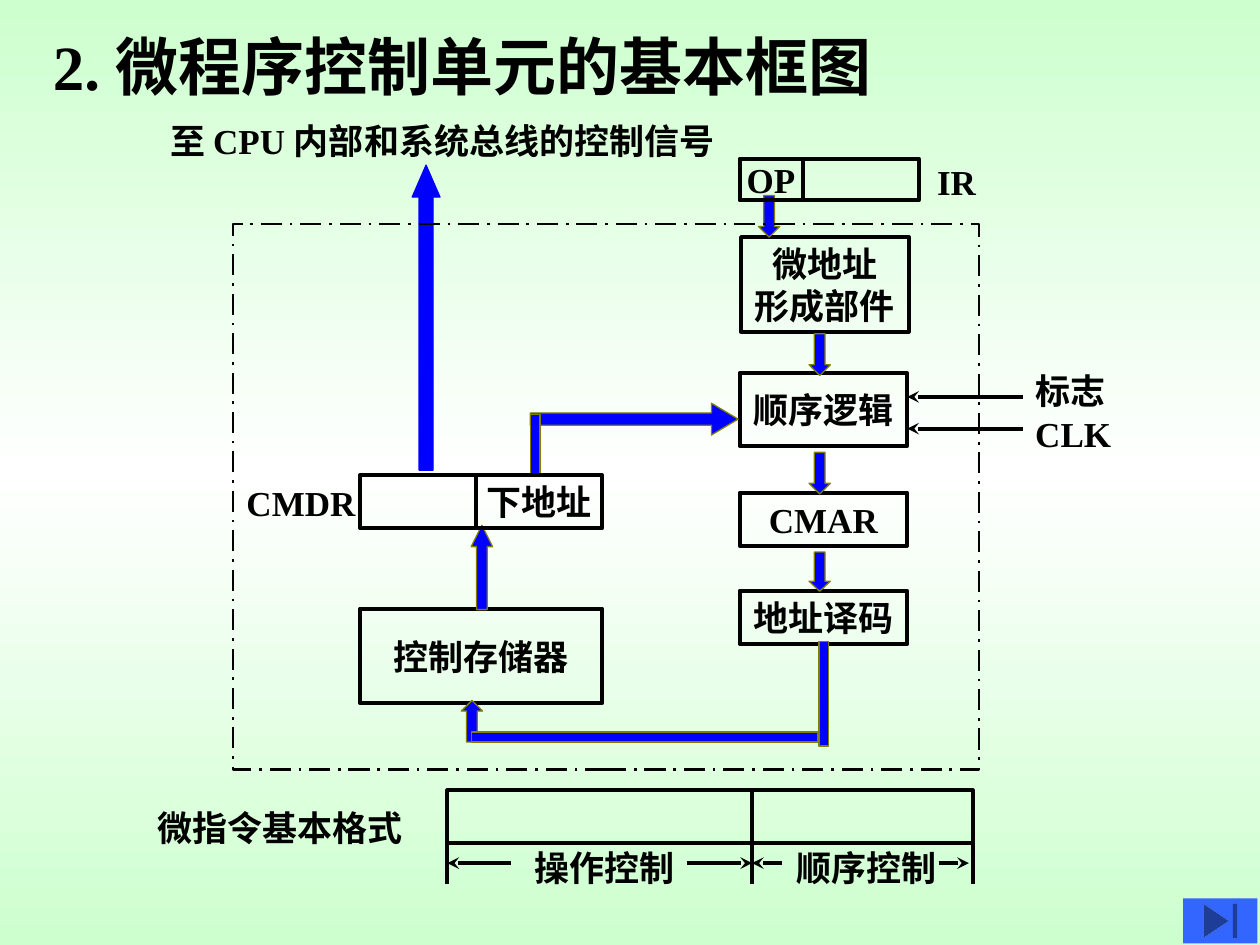
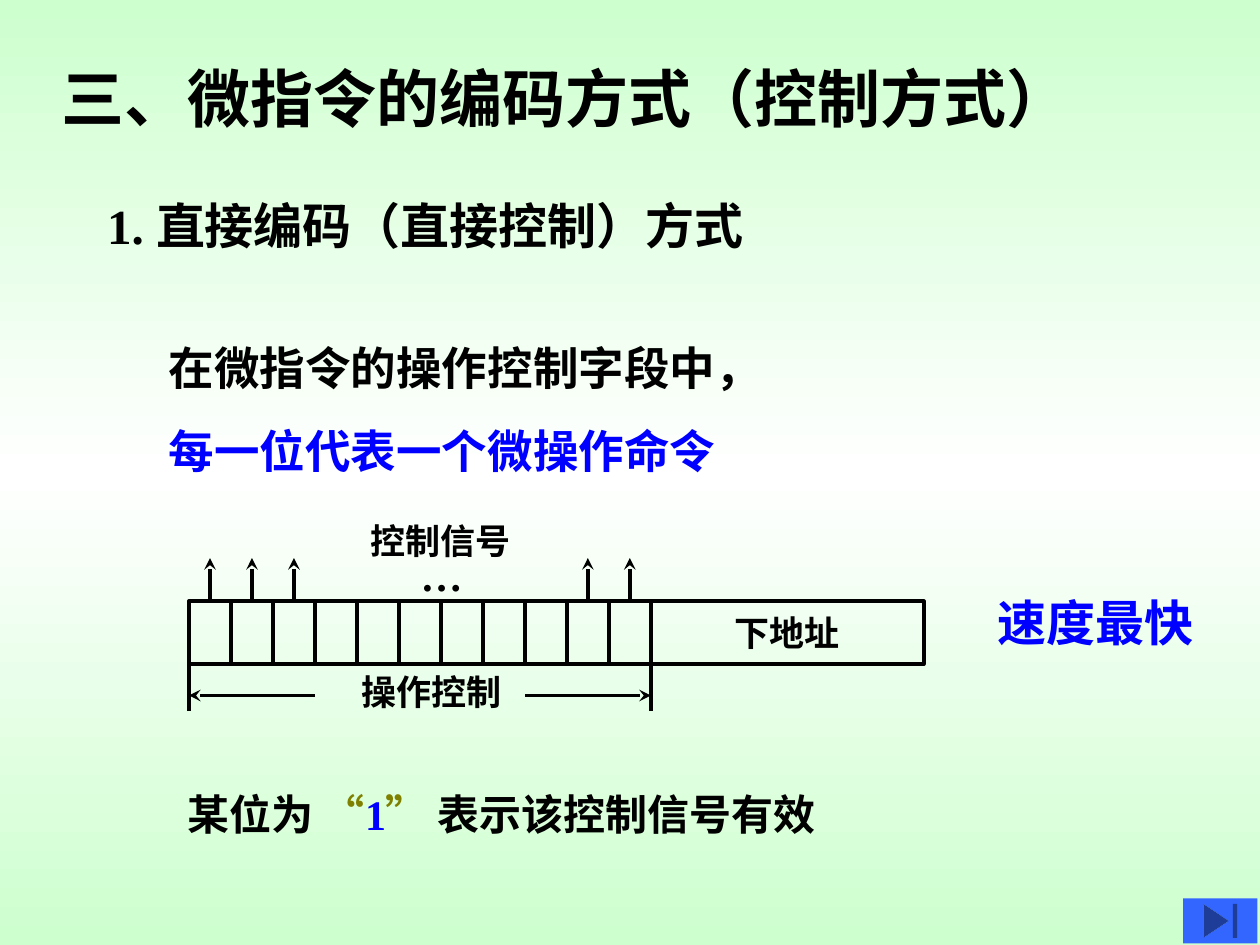
from copy import deepcopy

from lxml.etree import SubElement
from pptx import Presentation
from pptx.dml.color import RGBColor
from pptx.enum.dml import MSO_LINE
from pptx.enum.shapes import MSO_CONNECTOR, MSO_SHAPE
from pptx.enum.text import MSO_ANCHOR, MSO_AUTO_SIZE, PP_ALIGN
from pptx.oxml.ns import qn
from pptx.util import Cm, Pt

BLACK = RGBColor(0x00, 0x00, 0x00)
WHITE = RGBColor(0xFF, 0xFF, 0xFF)
BLUE = RGBColor(0x00, 0x00, 0xFF)
OLIVE = RGBColor(0x80, 0x80, 0x00)
MINT = RGBColor(0xCD, 0xFF, 0xCE)
BUTTON_BLUE = RGBColor(0x33, 0x66, 0xFF)
SERIF = "Times New Roman"
SANS = "DejaVu Sans"
LABEL_HEIGHT = 1.12
BUTTON_BOX = (23.85, 18.11, 1.5, 0.91)

DIAGRAM_TITLE = "2.\t微程序控制单元的基本框图"
UNIT_FRAME = (4.7, 4.52, 15.04, 11)
UNIT_BLOCKS = [
    (["微地址", "形成部件"], (14.94, 4.78, 3.38, 1.91)),
    ("顺序逻辑", (14.91, 7.52, 3.38, 1.47)),
    ("CMAR", (14.91, 9.93, 3.38, 1.07)),
    ("地址译码", (14.91, 11.91, 3.38, 1.07)),
    ("控制存储器", (7.26, 12.27, 4.88, 1.91)),
]
REGISTER_CELLS = [
    ("", (7.26, 9.58, 2.34, 1.07)),
    ("下地址", (9.6, 9.58, 2.54, 1.07)),
    ("OP", (14.91, 3.2, 1.27, 0.84)),
    ("", (16.18, 3.2, 2.34, 0.84)),
    ("", (9.02, 15.93, 6.14, 1.07)),
    ("", (15.16, 15.93, 4.45, 1.07)),
]
DOWN, UP = MSO_SHAPE.DOWN_ARROW, MSO_SHAPE.UP_ARROW
RIGHT, BAR = MSO_SHAPE.RIGHT_ARROW, MSO_SHAPE.RECTANGLE
DATA_PATHS = [
    (DOWN, (15.29, 3.94, 0.43, 0.84), (0.5, 0.5), OLIVE),
    (DOWN, (16.31, 6.73, 0.43, 0.84), (0.5, 0.5), OLIVE),
    (DOWN, (16.31, 9.12, 0.43, 0.84), (0.5, 0.5), OLIVE),
    (DOWN, (16.31, 11.13, 0.43, 0.79), (0.5, 0.47), OLIVE),
    (UP, (9.5, 10.59, 0.43, 1.7), (0.5, 1), OLIVE),
    (RIGHT, (10.69, 8.13, 4.19, 0.64), (0.39, 0.84), OLIVE),
    (BAR, (10.69, 8.36, 0.2, 1.22), (), OLIVE),
    (BAR, (16.51, 12.93, 0.2, 2.11), (), OLIVE),
    (UP, (9.3, 14.12, 0.43, 0.84), (0.5, 0.5), OLIVE),
    (BAR, (9.5, 14.76, 6.99, 0.2), (), OLIVE),
    (UP, (8.31, 3.33, 0.56, 6.15), (0.5, 1.15), BLUE),
]
DIAGRAM_LABELS = [
    ("至 CPU 内部和系统总线的控制信号", 3.18, 2.29, 11.81),
    ("IR", 18.64, 3.12, 1.3),
    ("标志", 20.62, 7.32, 1.9),
    ("CLK", 20.62, 8.2, 2.03),
    ("CMDR", 4.72, 9.58, 2.69),
    ("微指令基本格式", 2.92, 16.13, 5.46),
    ("操作控制", 10.52, 16.94, 3.33),
    ("顺序控制", 15.8, 16.94, 3.33),
]
INPUT_LEVELS = [8, 8.64]
FIELD_EDGES = [9.02, 15.16, 19.61]
FIELD_ARROWS = [(13.84, 15.16), (10.31, 9.02), (18.92, 19.53), (15.77, 15.16)]

CODING_TITLE = "三、微指令的编码方式（控制方式）"
CODING_METHOD = [("1. ", {"name": SERIF}), ("直接编码（直接控制）方式", {})]
CODING_RULE = ["在微指令的操作控制字段中，", [("每一位代表一个微操作命令", {"color": BLUE})]]
VALID_NOTE = [
    ("某位为 ", {}),
    ("“", {"color": OLIVE}),
    ("1", {"color": BLUE}),
    ("”", {"color": OLIVE}),
    (" 表示该控制信号有效", {}),
]
BIT_COUNT = 11
SIGNAL_BITS = [0, 1, 2, 9, 10]
BITS_LEFT, BITS_RIGHT, BITS_TOP, BITS_HEIGHT = 3.81, 13.12, 12.12, 1.27
BITS_BOTTOM = BITS_TOP + BITS_HEIGHT
CONTROL_ARROWS = [(6.35, BITS_LEFT), (10.59, BITS_RIGHT)]
CODING_LABELS = [
    ("控制信号", 7.21, 10.34, 3.33, {}),
    ("…", 8.23, 10.95, 1.35, {"size": 24}),
    ("操作控制", 7.04, 13.39, 3.33, {}),
    (CODING_METHOD, 1.91, 3.81, 13.51, {"size": 28, "name": SANS}),
    ("速度最快", 19.86, 11.81, 4.45, {"size": 28, "name": SANS, "color": BLUE}),
    (VALID_NOTE, 3.53, 15.77, 13.56, {"size": 24}),
]


def is_runs(text):
    return isinstance(text, list) and isinstance(text[0], tuple)


def write(shape, text, size=20, name=SERIF, color=BLACK, align=PP_ALIGN.LEFT,
          anchor=MSO_ANCHOR.TOP, wrap=False, gap=0, tab=None):
    frame = shape.text_frame
    frame.word_wrap = wrap
    frame.auto_size = MSO_AUTO_SIZE.NONE
    frame.vertical_anchor = anchor
    lines = text if isinstance(text, list) and not is_runs(text) else [text]
    for index, line in enumerate(lines):
        paragraph = frame.add_paragraph() if index else frame.paragraphs[0]
        paragraph.alignment = align
        paragraph.space_before = Pt(gap if index else 0)
        properties = paragraph._p.get_or_add_pPr()
        properties.set("marL", "0")
        properties.set("indent", "0")
        SubElement(properties, qn("a:buNone"))
        if tab:
            tabs = SubElement(properties, qn("a:tabLst"))
            SubElement(tabs, qn("a:tab"), pos=str(Cm(tab)), algn="l")
        for words, changes in line if is_runs(line) else [(line, {})]:
            run = paragraph.add_run()
            run.text = words
            run.font.size = Pt(size)
            run.font.bold = True
            run.font.name = changes.get("name", name)
            run.font.color.rgb = changes.get("color", color)


def place(shape, box):
    shape.left, shape.top, shape.width, shape.height = map(Cm, box)


def add_figure(slide, kind, box, fill=None, line=BLACK, width=2.25):
    shape = slide.shapes.add_shape(kind, *map(Cm, box))
    shape.shadow.inherit = False
    if fill is None:
        shape.fill.background()
    else:
        shape.fill.solid()
        shape.fill.fore_color.rgb = fill
    if line is None:
        shape.line.fill.background()
    else:
        shape.line.color.rgb = line
        shape.line.width = Pt(width)
    return shape


def add_cell(slide, box, text=""):
    cell = add_figure(slide, MSO_SHAPE.RECTANGLE, box)
    if text:
        write(cell, text, align=PP_ALIGN.CENTER, anchor=MSO_ANCHOR.MIDDLE)
    return cell


def add_label(slide, text, left, top, width, **form):
    label = slide.shapes.add_textbox(Cm(left), Cm(top), Cm(width), Cm(LABEL_HEIGHT))
    write(label, text, **form)


def add_line(slide, start, end, arrow=False):
    connector = slide.shapes.add_connector(MSO_CONNECTOR.STRAIGHT, *map(Cm, start + end))
    connector.line.color.rgb = BLACK
    connector.line.width = Pt(2.25)
    properties = connector._element.spPr
    if arrow:
        SubElement(properties.find(qn("a:ln")), qn("a:tailEnd"), type="stealth")
    SubElement(properties, qn("a:effectLst"))
    return connector


def paint_background(master):
    fill = master.background.fill
    fill.gradient()
    fill.gradient_angle = 90
    stops = master._element.find(".//" + qn("a:gsLst"))
    stops.append(deepcopy(stops[0]))
    for stop, color, position in zip(fill.gradient_stops, (MINT, WHITE, MINT), (0, 0.5, 1)):
        stop.color.rgb = color
        stop.position = position


def start_slide(presentation, layout, title, box, **form):
    slide = presentation.slides.add_slide(presentation.slide_layouts[layout])
    place(slide.shapes.title, box)
    write(slide.shapes.title, title, size=36, **form)
    add_figure(slide, MSO_SHAPE.ACTION_BUTTON_END, BUTTON_BOX, fill=BUTTON_BLUE, line=None)
    return slide


def build_diagram(presentation):
    slide = start_slide(presentation, 5, DIAGRAM_TITLE, (0.81, 0.43, 19.94, 1.78),
                        wrap=True, tab=1.92)
    for text, box in UNIT_BLOCKS:
        add_cell(slide, box, text)
    for kind, box, adjustments, line in DATA_PATHS:
        path_shape = add_figure(slide, kind, box, fill=BLUE, line=line, width=0.75)
        for index, value in enumerate(adjustments):
            path_shape.adjustments[index] = value
    frame = add_figure(slide, MSO_SHAPE.RECTANGLE, UNIT_FRAME, width=1.5)
    frame.line.dash_style = MSO_LINE.LONG_DASH_DOT
    for text, box in REGISTER_CELLS:
        add_cell(slide, box, text)
    for label in DIAGRAM_LABELS:
        add_label(slide, *label)
    for level in INPUT_LEVELS:
        add_line(slide, (20.62, level), (18.29, level), arrow=True)
    for edge in FIELD_EDGES:
        add_line(slide, (edge, 16.76), (edge, 17.83))
    for start, end in FIELD_ARROWS:
        add_line(slide, (start, 17.4), (end, 17.4), arrow=True)


def build_coding(presentation):
    slide = start_slide(presentation, 1, CODING_TITLE, (0.99, 1.07, 20.83, 1.78),
                        name=SANS, wrap=True)
    body = slide.placeholders[1]
    place(body, (3.15, 6.73, 18, 3.02))
    write(body, CODING_RULE, size=26, name=SANS, wrap=True, gap=16.2)
    pitch = (BITS_RIGHT - BITS_LEFT) / BIT_COUNT
    bits = [add_cell(slide, (BITS_LEFT + pitch * index, BITS_TOP, pitch, BITS_HEIGHT))
            for index in range(BIT_COUNT)]
    add_cell(slide, (BITS_RIGHT, BITS_TOP, 5.5, BITS_HEIGHT), "下地址")
    for index in SIGNAL_BITS:
        center = BITS_LEFT + pitch * (index + 0.5)
        signal = add_line(slide, (center, BITS_TOP), (center, 11.25), arrow=True)
        signal.begin_connect(bits[index], 0)
    for edge in (BITS_LEFT, BITS_RIGHT):
        add_line(slide, (edge, BITS_BOTTOM), (edge, 14.33))
    for start, end in CONTROL_ARROWS:
        add_line(slide, (start, 14.02), (end, 14.02), arrow=True)
    for text, left, top, width, form in CODING_LABELS:
        add_label(slide, text, left, top, width, **form)


def main():
    presentation = Presentation()
    presentation.slide_width = Cm(25.4)
    presentation.slide_height = Cm(19.05)
    paint_background(presentation.slide_master)
    build_diagram(presentation)
    build_coding(presentation)
    presentation.save("out.pptx")


if __name__ == "__main__":
    main()
